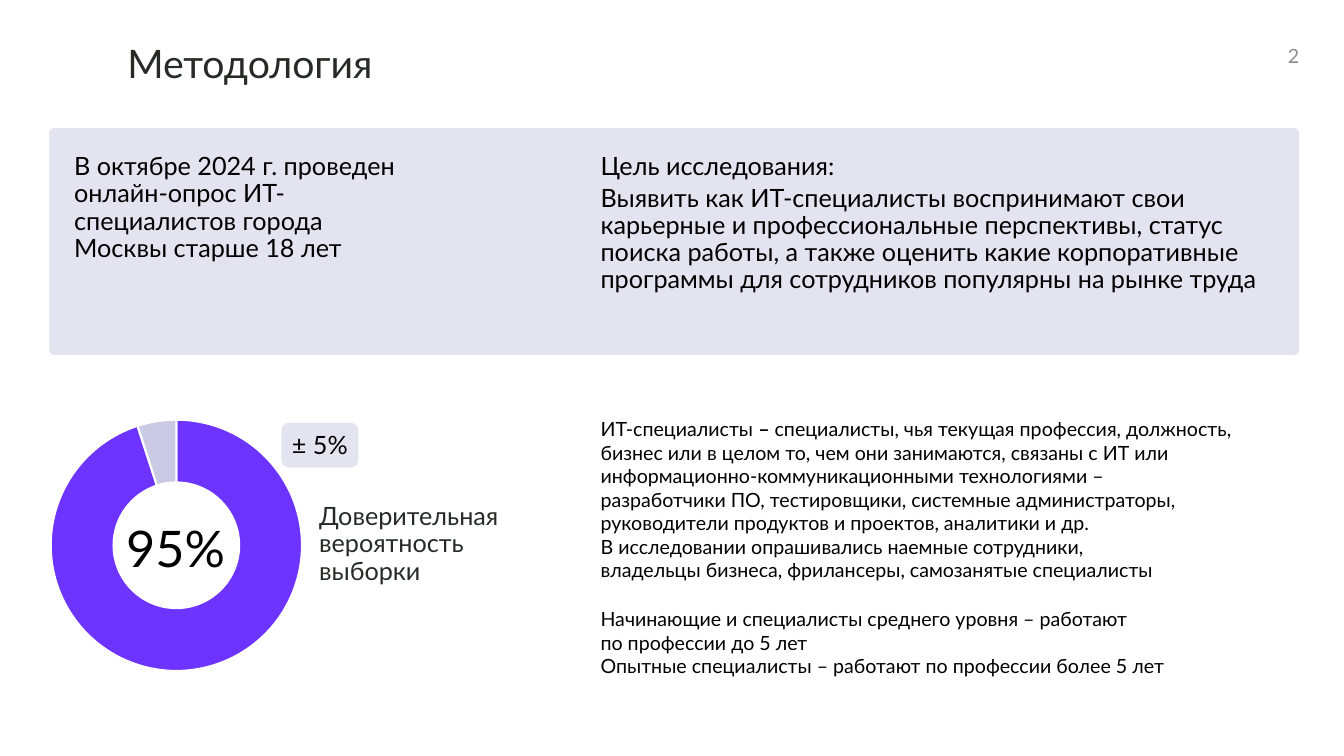
from copy import deepcopy

from lxml import etree
from pptx import Presentation
from pptx.chart import data as chart_data
from pptx.dml.color import RGBColor
from pptx.enum import chart as charts, shapes, text
from pptx.oxml import ns
from pptx.util import Pt

INK = RGBColor(0x26, 0x2B, 0x28)
BLACK = RGBColor(0, 0, 0)
GREY = RGBColor(0x8C, 0x8C, 0x8C)
WHITE = RGBColor(0xFF, 0xFF, 0xFF)
VIOLET = RGBColor(0x6D, 0x33, 0xFF)
LAVENDER = RGBColor(0xCA, 0xCA, 0xE5)

FONT = "Lato"
RIGHT_COLUMN = 429

SPECIALISTS = [
    ("ИТ-специалисты ", False),
    ("– ", True),
    ("специалисты, чья текущая профессия, должность, бизнес или в целом то, "
     "чем они занимаются, связаны с ИТ или информационно-коммуникационными "
     "технологиями – разработчики ПО, тестировщики, системные администраторы, "
     "руководители продуктов и проектов, аналитики и др. \n"
     "В исследовании опрашивались наемные сотрудники, \n"
     "владельцы бизнеса, фрилансеры, самозанятые специалисты", False),
]
EXPERIENCE = [
    "Начинающие и специалисты среднего уровня – работают \nпо профессии до 5 лет",
    "Опытные специалисты – работают по профессии более 5 лет",
]
GOAL = [
    "Цель исследования:",
    "Выявить как ИТ-специалисты воспринимают свои карьерные и профессиональные "
    "перспективы, статус поиска работы, а также оценить какие корпоративные "
    "программы для сотрудников популярны на рынке труда",
]
SURVEY = "В октябре 2024 г. проведен онлайн-опрос ИТ-специалистов города Москвы старше 18 лет"


def write(box, paragraphs, size=18, color=BLACK, align=text.PP_ALIGN.LEFT,
          line=0.9, after=0, anchor=text.MSO_ANCHOR.TOP):
    """Fill a box; a paragraph is a string or a list of (words, bold) pairs."""
    frame = box.text_frame
    frame.word_wrap = True
    frame.auto_size = text.MSO_AUTO_SIZE.NONE
    frame.vertical_anchor = anchor
    frame.margin_left = frame.margin_right = frame.margin_top = frame.margin_bottom = 0
    for index, spans in enumerate(paragraphs):
        para = frame.add_paragraph() if index else frame.paragraphs[0]
        para.alignment = align
        para.line_spacing = line
        para.space_before = Pt(0)
        para.space_after = Pt(after)
        for words, bold in [(spans, False)] if isinstance(spans, str) else spans:
            for row, part in enumerate(words.split("\n")):
                if row:
                    para.add_line_break()
                span = para.add_run()
                span.text = part
                span.font.name = FONT
                span.font.size = Pt(size)
                span.font.bold = bold
                span.font.color.rgb = color
        for line_break in para._p.findall(ns.qn("a:br")):
            line_break.append(deepcopy(para.runs[0]._r.rPr))


def add_text(page, left, top, width, height, paragraphs, **style):
    box = page.shapes.add_textbox(Pt(left), Pt(top), Pt(width), Pt(height))
    write(box, paragraphs, **style)


def add_panel(page, left, top, width, height, rounding):
    panel = page.shapes.add_shape(shapes.MSO_SHAPE.ROUNDED_RECTANGLE,
                                  Pt(left), Pt(top), Pt(width), Pt(height))
    panel.adjustments[0] = rounding
    panel.shadow.inherit = False
    panel.line.fill.background()
    panel.fill.solid()
    panel.fill.fore_color.rgb = LAVENDER
    color = panel._element.spPr.find(".//" + ns.qn("a:srgbClr"))
    etree.SubElement(color, ns.qn("a:alpha"), val="50000")


def add_doughnut(page, left, top, width, height, values, colors):
    data = chart_data.CategoryChartData()
    data.categories = [str(number + 1) for number in range(len(values))]
    data.add_series("Series 1", values)
    chart = page.shapes.add_chart(charts.XL_CHART_TYPE.DOUGHNUT, Pt(left), Pt(top),
                                  Pt(width), Pt(height), data).chart
    chart.has_legend = False
    chart.has_title = False
    chart.font.name = "Calibri"
    chart.font.size = Pt(10)
    chart.font.color.rgb = BLACK
    for index, color in enumerate(colors):
        look = chart.plots[0].series[0].points[index].format
        look.fill.solid()
        look.fill.fore_color.rgb = color
        look.line.color.rgb = WHITE
        look.line.width = Pt(1.5)
    fill_frame(chart)


def fill_frame(chart):
    """Stretch the plot area over the whole chart frame."""
    plot_area = chart._chartSpace.chart.plotArea
    layout = plot_area.find(ns.qn("c:layout"))
    if layout is None:
        layout = etree.Element(ns.qn("c:layout"))
        plot_area.insert(0, layout)
    manual = etree.SubElement(layout, ns.qn("c:manualLayout"))
    settings = {"layoutTarget": "inner", "xMode": "edge", "yMode": "edge",
                "x": "0", "y": "0.01", "w": "1", "h": "0.99"}
    for name, value in settings.items():
        etree.SubElement(manual, ns.qn("c:" + name), val=value)


def main():
    deck = Presentation()
    deck.slide_width, deck.slide_height = Pt(960), Pt(540)
    page = deck.slides.add_slide(deck.slide_layouts.get_by_name("Title Only"))

    title = page.shapes.title
    title.left, title.top, title.width, title.height = Pt(91), Pt(32), Pt(828), Pt(30)
    write(title, ["Методология"], size=28, color=INK)
    add_text(page, 888, 30, 40, 20, ["2"], size=14, color=GREY, line=1,
             align=text.PP_ALIGN.RIGHT, anchor=text.MSO_ANCHOR.MIDDLE)

    add_panel(page, 35, 91.5, 893, 162, 0.023)
    add_text(page, 53, 110, 238, 78, [SURVEY])
    add_text(page, RIGHT_COLUMN, 110, 478, 120, GOAL, after=3)

    add_doughnut(page, 35.5, 298, 181, 182, (95, 5), (VIOLET, LAVENDER))
    add_text(page, 88, 374.5, 75, 39, ["95%"], size=36, align=text.PP_ALIGN.CENTER)
    add_panel(page, 201, 302, 55, 32, 0.166)
    add_text(page, 201, 309, 55, 19, ["± 5%"], align=text.PP_ALIGN.CENTER)
    add_text(page, 228, 360, 143, 58, ["Доверительная \nвероятность \nвыборки"], color=INK)

    add_text(page, RIGHT_COLUMN, 298, 452, 117, [SPECIALISTS], size=14, line=1)
    add_text(page, RIGHT_COLUMN, 433.5, 499, 50, EXPERIENCE, size=14, line=1)

    deck.save("out.pptx")


if __name__ == "__main__":
    main()
